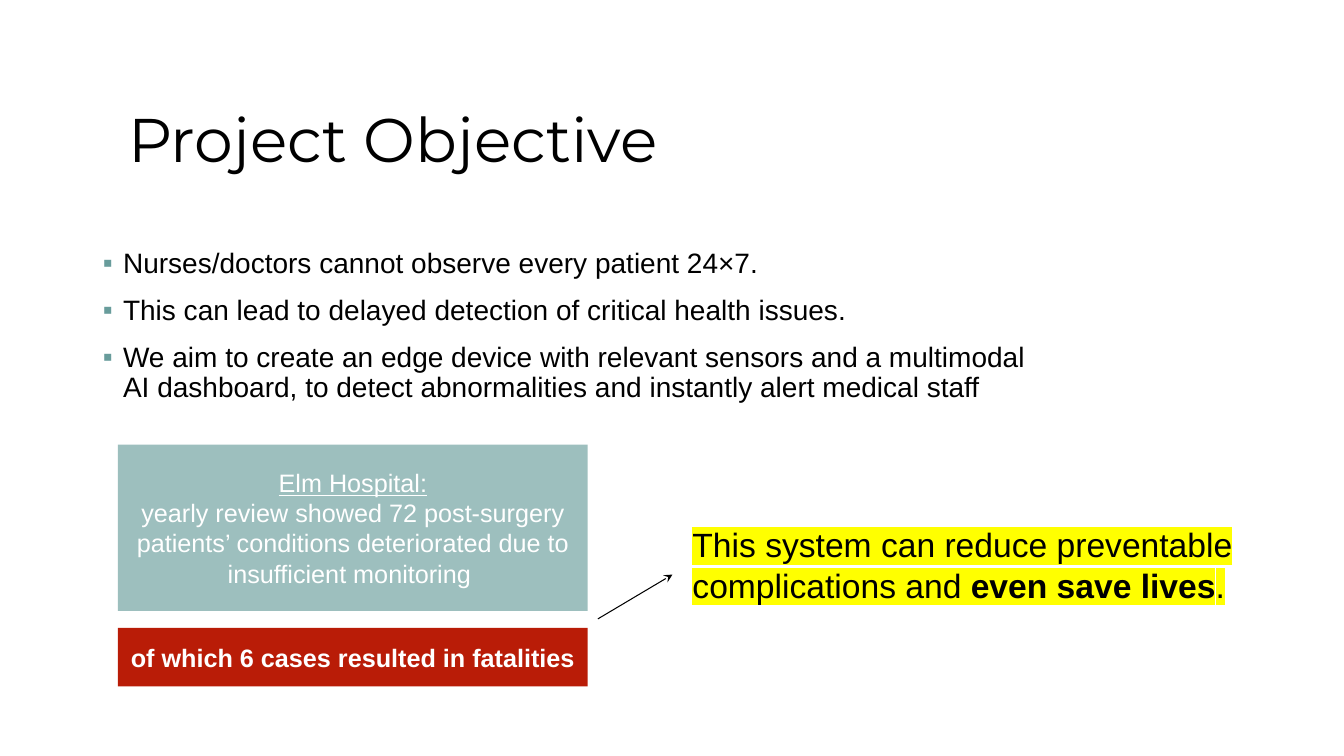
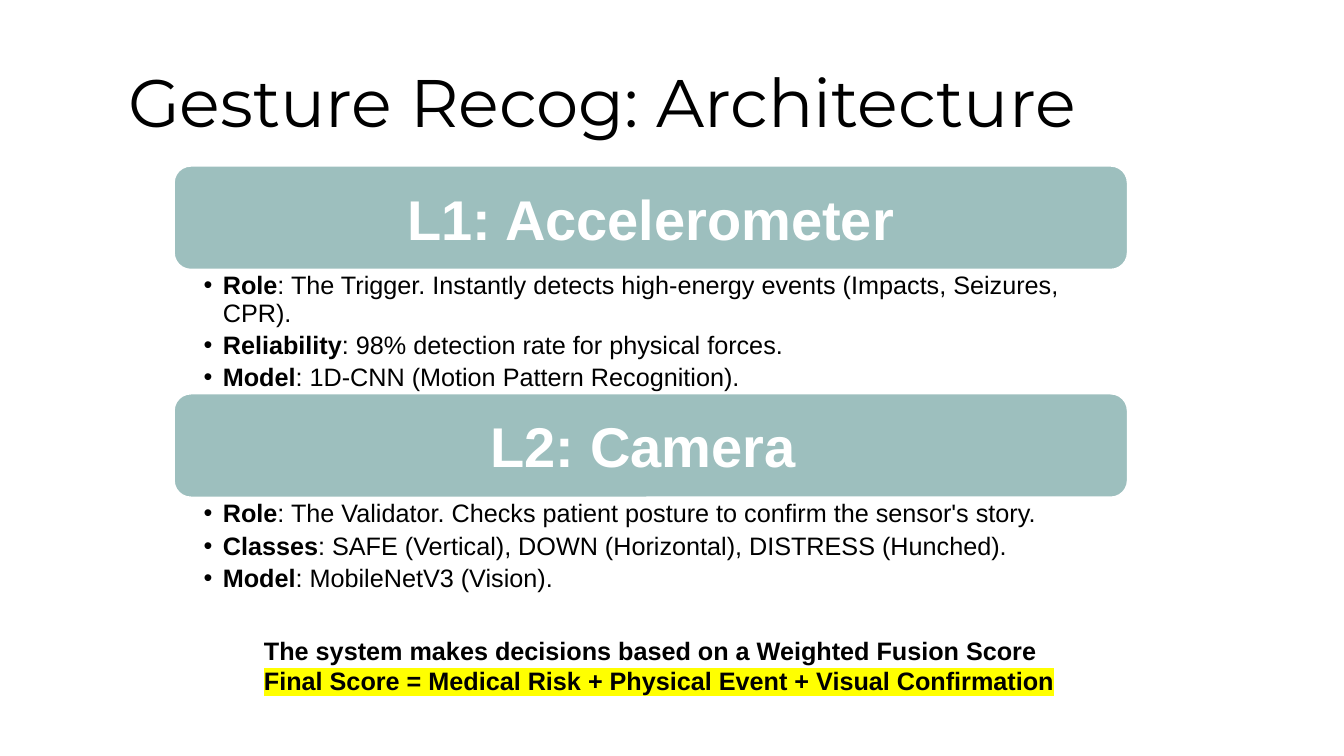
from lxml import etree
from pptx import Presentation
from pptx.dml.color import RGBColor
from pptx.enum import shapes, text
from pptx.oxml import ns
from pptx.util import Inches, Pt

COLORS = {
    "ink": "000000",
    "paper": "FFFFFF",
    "sage": "9DBFBE",
    "teal": "689C9B",
    "alert": "B91C07",
    "marker": "FFFF00",
}
BODY_FONT = "Arial"
TITLE_FONT = "Montserrat"
TITLE_AT = (1.17, 0.53)
BAND_LEFT, BAND_WIDTH, BAND_HEIGHT = 1.72, 9.47, 1.04
FIRST_BAND_TOP, BAND_STEP = 1.64, 2.26


def rgb(name):
    return RGBColor.from_string(COLORS[name])


def sub(parent, tag, **attrs):
    return etree.SubElement(parent, ns.qn(tag), attrs)


def place(sp, left, top, width, height):
    sp.left, sp.top = Inches(left), Inches(top)
    sp.width, sp.height = Inches(width), Inches(height)


def add_run(p, words, size, color="ink", font=BODY_FONT, bold=False,
            underline=False, marked=False):
    r = p.add_run()
    r.text = words
    r.font.size = Pt(size)
    r.font.bold = bold
    r.font.underline = underline
    r.font.name = font
    r.font.color.rgb = rgb(color)
    if marked:
        highlight = etree.Element(ns.qn("a:highlight"))
        sub(highlight, "a:srgbClr", val=COLORS["marker"])
        r.font.fill._xPr.find(ns.qn("a:solidFill")).addnext(highlight)


def fill_paragraphs(tf, paragraphs, size, color="ink", align=text.PP_ALIGN.LEFT):
    for i, runs in enumerate(paragraphs):
        p = tf.add_paragraph() if i else tf.paragraphs[0]
        p.alignment = align
        for words, style in runs:
            add_run(p, words, size, color, **style)


def set_title(s, words, size, width, height):
    sp = s.shapes.title
    place(sp, *TITLE_AT, width, height)
    tf = sp.text_frame
    tf.auto_size = text.MSO_AUTO_SIZE.NONE
    tf.vertical_anchor = text.MSO_ANCHOR.MIDDLE
    p = tf.paragraphs[0]
    p.alignment = text.PP_ALIGN.LEFT
    p.line_spacing = 0.9
    add_run(p, words, size, font=TITLE_FONT)


def set_bullet(p, char, color, indent):
    pPr = p._p.get_or_add_pPr()
    pPr.set("marL", str(Inches(indent)))
    pPr.set("indent", str(-Inches(indent)))
    sub(sub(pPr, "a:buClr"), "a:srgbClr", val=COLORS[color])
    sub(pPr, "a:buFont", typeface=BODY_FONT)
    sub(pPr, "a:buChar", char=char)


def set_list(sp, box, items, size, char, color, indent, before=0, after=0,
             insets=(0.1, 0.05, 0.1, 0.05)):
    place(sp, *box)
    tf = sp.text_frame
    tf.auto_size = text.MSO_AUTO_SIZE.NONE
    tf.margin_left, tf.margin_top, tf.margin_right, tf.margin_bottom = map(Inches, insets)
    fill_paragraphs(tf, items, size)
    for i, p in enumerate(tf.paragraphs):
        set_bullet(p, char, color, indent)
        p.line_spacing = 0.9
        p.space_before = Pt(before if i else 0)
        p.space_after = Pt(after)


def add_panel(s, box, kind, fill, paragraphs, size, border=None):
    sp = s.shapes.add_shape(kind, *map(Inches, box))
    sp.shadow.inherit = False
    sp.fill.solid()
    sp.fill.fore_color.rgb = rgb(fill)
    if border:
        sp.line.color.rgb = rgb(border)
        sp.line.width = Pt(2)
    else:
        sp.line.fill.background()
    tf = sp.text_frame
    tf.word_wrap = True
    tf.vertical_anchor = text.MSO_ANCHOR.MIDDLE
    fill_paragraphs(tf, paragraphs, size, "paper", text.PP_ALIGN.CENTER)


def add_note(s, box, paragraphs, size):
    tf = s.shapes.add_textbox(*map(Inches, box)).text_frame
    tf.word_wrap = True
    fill_paragraphs(tf, paragraphs, size)


def add_arrow(s, start, end):
    line = s.shapes.add_connector(shapes.MSO_CONNECTOR.STRAIGHT,
                                  *map(Inches, start + end))
    line.line.color.rgb = rgb("ink")
    line.line.width = Pt(0.75)
    sub(line.line._get_or_add_ln(), "a:tailEnd", type="stealth")
    sub(line._element.spPr, "a:effectLst")


def build_objective(prs):
    s = prs.slides.add_slide(prs.slide_layouts[1])
    set_title(s, "Project Objective", 44, 6.41, 1.76)
    goals = [
        "Nurses/doctors cannot observe every patient 24×7.",
        "This can lead to delayed detection of critical health issues.",
        "We aim to create an edge device with relevant sensors and a multimodal "
        "AI dashboard, to detect abnormalities and instantly alert medical staff",
    ]
    set_list(s.placeholders[1], (0.92, 2.42, 9.67, 1.9),
             [[(goal, {})] for goal in goals], 20, "▪", "teal", 0.2, before=12)
    rect = shapes.MSO_SHAPE.RECTANGLE
    add_panel(s, (1.17, 4.41, 4.66, 1.65), rect, "sage", [
        [("Elm Hospital:", {"underline": True})],
        [("yearly review showed 72 post-surgery patients’ conditions "
          "deteriorated due to insufficient monitoring ", {})],
    ], 18)
    add_panel(s, (1.17, 6.23, 4.66, 0.58), rect, "alert",
              [[("of which 6 cases resulted in fatalities", {"bold": True})]], 18)
    add_note(s, (6.77, 5.15, 5.67, 0.91), [[
        ("This system can reduce preventable complications and ", {"marked": True}),
        ("even save lives", {"marked": True, "bold": True}),
        (".", {"marked": True}),
    ]], 24)
    add_arrow(s, (5.93, 6.14), (6.67, 5.7))


def build_architecture(prs):
    s = prs.slides.add_slide(prs.slide_layouts[3])
    set_title(s, "Gesture Recog: Architecture", 48, 11, 1.03)
    layers = [
        ("L1: Accelerometer", 1.21, [
            ("Role", ": The Trigger. Instantly detects high-energy events "
                     "(Impacts, Seizures, CPR)."),
            ("Reliability", ": 98% detection rate for physical forces."),
            ("Model", ": 1D-CNN (Motion Pattern Recognition)."),
        ]),
        ("L2: Camera ", 0.95, [
            ("Role", ": The Validator. Checks patient posture to confirm the "
                     "sensor's story."),
            ("Classes", ": SAFE (Vertical), DOWN (Horizontal), DISTRESS (Hunched)."),
            ("Model", ": MobileNetV3 (Vision)."),
        ]),
    ]
    for i, (heading, list_height, facts) in enumerate(layers):
        top = FIRST_BAND_TOP + i * BAND_STEP
        add_panel(s, (BAND_LEFT, top, BAND_WIDTH, BAND_HEIGHT),
                  shapes.MSO_SHAPE.ROUNDED_RECTANGLE, "sage",
                  [[(heading, {"bold": True})]], 40, border="paper")
        set_list(s.placeholders[i + 1],
                 (BAND_LEFT, top + BAND_HEIGHT, BAND_WIDTH, list_height),
                 [[(label, {"bold": True}), (fact, {})] for label, fact in facts],
                 18, "•", "ink", 0.19, after=3.6, insets=(0.3, 0.03, 0.14, 0.03))
    add_note(s, (2.52, 6.25, 8.23, 0.94), [
        [("The system makes decisions based on a Weighted Fusion Score",
          {"bold": True})],
        [("Final Score = Medical Risk + Physical Event + Visual Confirmation",
          {"bold": True, "marked": True})],
    ], 18)


def main():
    prs = Presentation()
    prs.slide_width, prs.slide_height = Inches(13.33), Inches(7.5)
    build_objective(prs)
    build_architecture(prs)
    prs.save("out.pptx")


if __name__ == "__main__":
    main()
